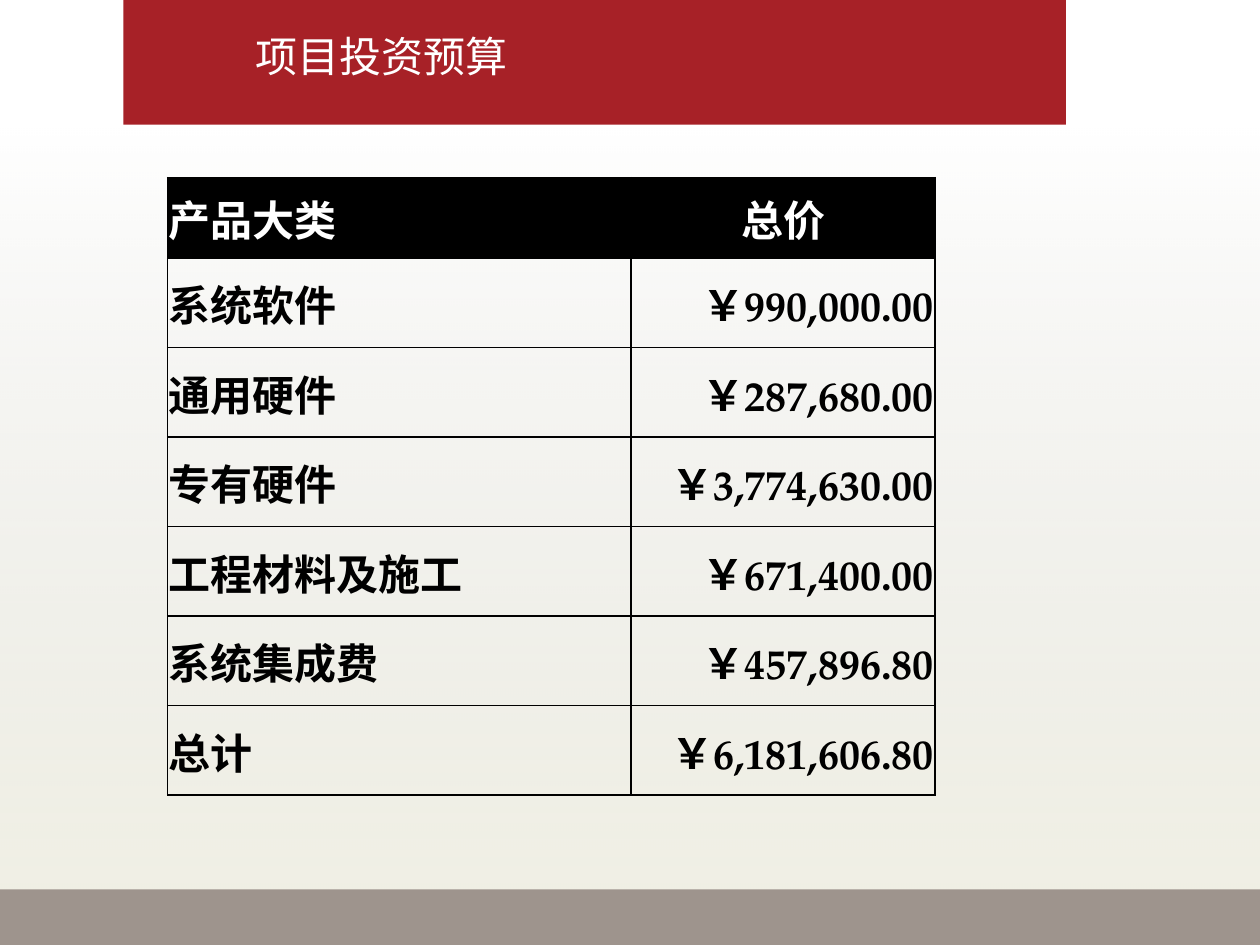
"""Build the project investment budget slide."""
import lxml.etree
import pptx
import pptx.dml.color
import pptx.enum.shapes
import pptx.enum.text
import pptx.oxml
import pptx.oxml.ns
import pptx.util

Inches = pptx.util.Inches
Align = pptx.enum.text.PP_ALIGN
Anchor = pptx.enum.text.MSO_ANCHOR
qn = pptx.oxml.ns.qn

SANS = "Noto Sans CJK SC"
SERIF = "TeX Gyre Pagella"
BLACK, WHITE = "000000", "FFFFFF"
HEAD = ("产品大类", "总价")
COSTS = [
    ("系统软件", "￥990,000.00"),
    ("通用硬件", "￥287,680.00"),
    ("专有硬件", "￥3,774,630.00"),
    ("工程材料及施工", "￥671,400.00"),
    ("系统集成费", "￥457,896.80"),
    ("总计", "￥6,181,606.80"),
]
FADE = (
    '<a:gradFill xmlns:a="http://schemas.openxmlformats.org/drawingml/2006/main"'
    ' rotWithShape="1"><a:gsLst>'
    '<a:gs pos="0"><a:srgbClr val="9B9A84"><a:alpha val="0"/></a:srgbClr></a:gs>'
    '<a:gs pos="100000"><a:srgbClr val="D9D7B9"><a:alpha val="38000"/></a:srgbClr></a:gs>'
    '</a:gsLst><a:lin ang="5400000" scaled="0"/></a:gradFill>'
)


def paint(color, code):
    """Set a colour from a hex string."""
    color.rgb = pptx.dml.color.RGBColor.from_string(code)


def add_band(slide, left, top, width, height, code):
    """Add a plain rectangle without outline."""
    band = slide.shapes.add_shape(
        pptx.enum.shapes.MSO_SHAPE.RECTANGLE,
        Inches(left), Inches(top), Inches(width), Inches(height))
    band.shadow.inherit = False
    band.line.fill.background()
    band.fill.solid()
    paint(band.fill.fore_color, code)
    return band


def add_fade(slide):
    """Add the backdrop that fades in towards the bottom."""
    band = add_band(slide, 0, 0.99, 10, 6.51, WHITE)
    solid = band.element.spPr.find(qn("a:solidFill"))
    solid.getparent().replace(solid, pptx.oxml.parse_xml(FADE))


def add_run(para, text, face, code, bold):
    """Add a 24 point run with its Latin and East Asian fonts."""
    run = para.add_run()
    run.text = text
    font = run.font
    font.size, font.bold, font.name = pptx.util.Pt(24), bold, face
    paint(font.color, code)
    props = run._r.get_or_add_rPr()
    lxml.etree.SubElement(props, qn("a:ea"), typeface=SANS)


def set_title(slide, text):
    """Place the title on top of the red band."""
    title = slide.shapes.title
    title.left, title.top = Inches(1.93), Inches(0.19)
    title.width, title.height = Inches(4.48), Inches(0.5)
    frame = title.text_frame
    frame.word_wrap = True
    frame.auto_size = pptx.enum.text.MSO_AUTO_SIZE.NONE
    frame.vertical_anchor = Anchor.MIDDLE
    para = frame.paragraphs[0]
    para.alignment = Align.LEFT
    para.space_before = pptx.util.Pt(0)
    add_run(para, text, "Arial", WHITE, False)
    title.element.getparent().append(title.element)


def add_edges(cell):
    """Draw a one point black border round a cell."""
    props = cell._tc.get_or_add_tcPr()
    for side in ("a:lnL", "a:lnR", "a:lnT", "a:lnB"):
        line = lxml.etree.SubElement(props, qn(side), w="12700")
        fill = lxml.etree.SubElement(line, qn("a:solidFill"))
        lxml.etree.SubElement(fill, qn("a:srgbClr"), val=BLACK)


def fill_cell(cell, text, face, align, head):
    """Format one table cell and write its text."""
    cell.margin_left = cell.margin_right = cell.margin_top = Inches(0.01)
    cell.margin_bottom = 0
    cell.vertical_anchor = Anchor.MIDDLE
    add_edges(cell)
    if head:
        cell.fill.solid()
        paint(cell.fill.fore_color, BLACK)
    else:
        cell.fill.background()
    para = cell.text_frame.paragraphs[0]
    para.alignment = align
    add_run(para, text, face, WHITE if head else BLACK, True)


def add_costs(slide):
    """Add the budget table."""
    rows = [HEAD, *COSTS]
    table = slide.shapes.add_table(
        len(rows), len(HEAD), Inches(1.33), Inches(1.41),
        Inches(6.09), Inches(4.9)).table
    table.horz_banding = False
    for col, width in zip(table.columns, (3.68, 2.41)):
        col.width = Inches(width)
    for i, (name, price) in enumerate(rows):
        head = i == 0
        table.rows[i].height = Inches(0.64 if head else 0.71)
        fill_cell(table.cell(i, 0), name, SANS, Align.LEFT, head)
        fill_cell(table.cell(i, 1), price, SANS if head else SERIF,
                  Align.CENTER if head else Align.RIGHT, head)


def main():
    """Build and save the slide."""
    deck = pptx.Presentation()
    deck.slide_width, deck.slide_height = Inches(10), Inches(7.5)
    slide = deck.slides.add_slide(deck.slide_layouts[5])
    add_fade(slide)
    add_band(slide, 0.98, 0, 7.48, 0.99, "A72127")
    add_band(slide, 0, 7.06, 10, 0.44, "9E948D")
    add_costs(slide)
    set_title(slide, "项目投资预算")
    deck.save("out.pptx")


if __name__ == "__main__":
    main()
